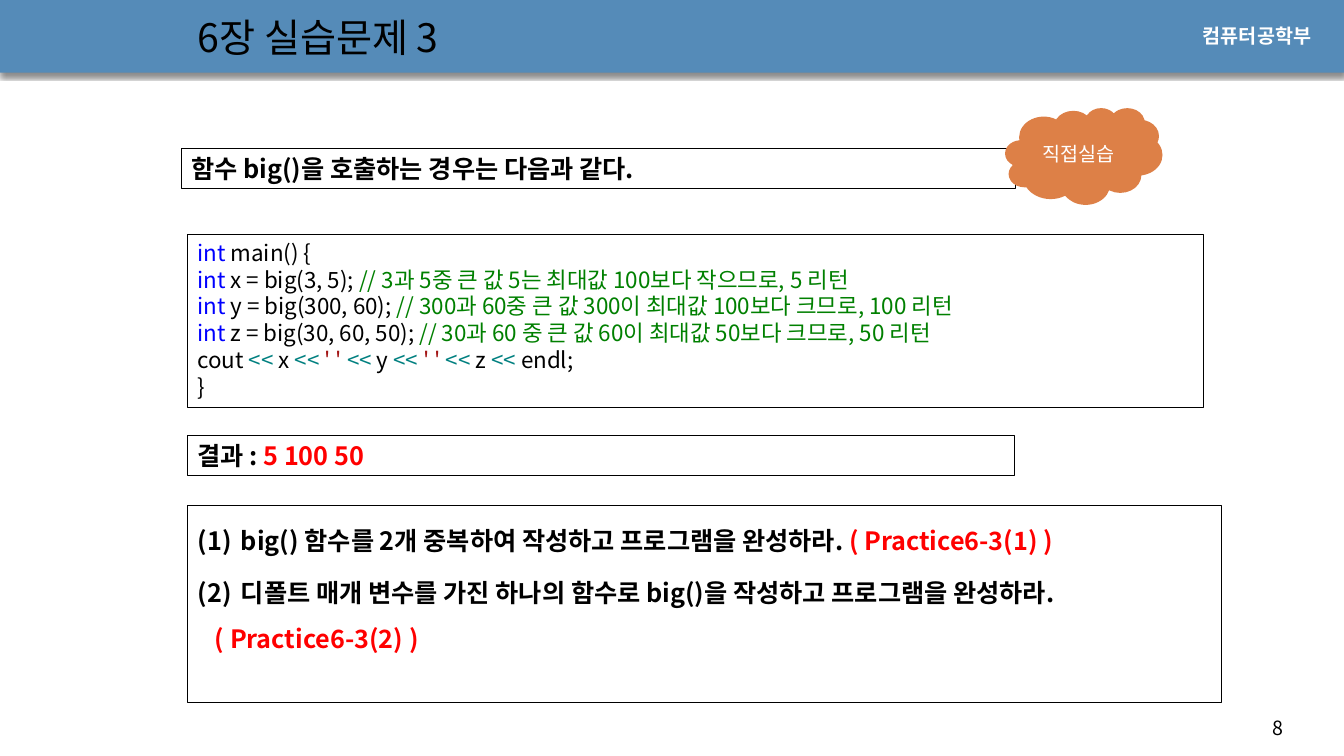
from pptx import Presentation
from pptx.dml.color import RGBColor
from pptx.enum.shapes import MSO_SHAPE as Shape
from pptx.enum.text import MSO_ANCHOR as Anchor, PP_ALIGN as Align
from pptx.oxml import parse_xml
from pptx.oxml.ns import nsdecls
from pptx.util import Inches, Pt
from lxml.etree import SubElement
from pptx.oxml.ns import qn

BLACK = RGBColor(0x00, 0x00, 0x00)
WHITE = RGBColor(0xFF, 0xFF, 0xFF)
RED = RGBColor(0xFF, 0x00, 0x00)
BANNER_BLUE = RGBColor(0x55, 0x8B, 0xB8)
ORANGE = RGBColor(0xDD, 0x80, 0x47)
KEYWORD = RGBColor(0x00, 0x00, 0xFF)
COMMENT = RGBColor(0x00, 0x80, 0x00)
OPERATOR = RGBColor(0x00, 0x80, 0x80)
LITERAL = RGBColor(0xA3, 0x15, 0x15)
FONT = "Noto Sans CJK KR"


def write(box, lines, size, bold=False, font=FONT, anchor=Anchor.TOP, align=Align.LEFT):
    """Fill a box with lines, each a list of (text, colour) spans."""
    frame = box.text_frame
    frame.word_wrap = True
    frame.vertical_anchor = anchor
    for index, spans in enumerate(lines):
        para = frame.paragraphs[0] if index == 0 else frame.add_paragraph()
        para.alignment = align
        para.space_before = Pt(0)
        for text, colour in spans:
            span = para.add_run()
            span.text = text
            span.font.size = Pt(size)
            span.font.bold = bold
            span.font.name = font
            span.font.color.rgb = colour
            SubElement(span.font._element, qn("a:ea")).set("typeface", font)


def place(box, left, top, width, height, fill=None, outlined=False):
    """Set the position, fill and outline of a box."""
    box.left, box.top = Inches(left), Inches(top)
    box.width, box.height = Inches(width), Inches(height)
    if fill is not None:
        box.fill.solid()
        box.fill.fore_color.rgb = fill
    if outlined:
        box.line.color.rgb = BLACK
        box.line.width = Pt(0.5)
    else:
        box.line.fill.background()


deck = Presentation()
deck.slide_width, deck.slide_height = Inches(13.33), Inches(7.5)
page = deck.slides.add_slide(deck.slide_layouts[1])
shapes = page.shapes
title, questions = page.placeholders

# Banner with its soft lower shadow, behind the title
banner = shapes.add_shape(Shape.RECTANGLE, 0, 0, 0, 0)
place(banner, 0, -0.01, 13.33, 0.73, BANNER_BLUE)
banner._element.spPr.append(parse_xml(
    f'<a:effectLst {nsdecls("a")}><a:outerShdw blurRad="{Pt(3)}" dist="{Pt(2.4)}" '
    'dir="5400000" rotWithShape="0"><a:srgbClr val="000000"><a:alpha val="45000"/>'
    '</a:srgbClr></a:outerShdw></a:effectLst>'))
shapes._spTree.insert(2, banner._element)

place(title, 1.86, 0.05, 7.4, 0.63)
write(title, [[("6장 실습문제 3", BLACK)]], 28, anchor=Anchor.MIDDLE)

for text, colour, size, bold, font, left, top, width in [
    ("8", BLACK, 14, False, FONT, 12.52, 7.05, 0.71),
    ("컴퓨터공학부", WHITE, 14, True, "Arial", 11.83, 0.19, 1.37),
]:
    label = shapes.add_textbox(0, 0, 0, 0)
    place(label, left, top, width, 0.34)
    write(label, [[(text, colour)]], size, bold, font)

# Outlined boxes: code, introduction and result
code = [[("int", KEYWORD), (" main() {", BLACK)]]
for statement, remark in [
    ("x = big(3, 5); ", "// 3과 5중 큰 값 5는 최대값 100보다 작으므로, 5 리턴"),
    ("y = big(300, 60); ", "// 300과 60중 큰 값 300이 최대값 100보다 크므로, 100 리턴"),
    ("z = big(30, 60, 50); ", "// 30과 60 중 큰 값 60이 최대값 50보다 크므로, 50 리턴"),
]:
    code.append([("int ", KEYWORD), (statement, BLACK), (remark, COMMENT)])
output = [("cout ", BLACK)]
for variable in "xy":
    output += [("<<", OPERATOR), (f" {variable} ", BLACK), ("<< ", OPERATOR), ("' ' ", LITERAL)]
output += [("<<", OPERATOR), (" z ", BLACK), ("<< ", OPERATOR), ("endl;", BLACK)]
code += [output, [("}", BLACK)]]

for lines, size, bold, left, top, width, height in [
    (code, 16, False, 1.86, 2.32, 10.08, 1.72),
    ([[("함수 big()을 호출하는 경우는 다음과 같다.", BLACK)]], 18, True, 1.8, 1.47, 8.27, 0.4),
    ([[("결과 : ", BLACK), ("5 100 50", RED)]], 18, True, 1.86, 4.32, 8.2, 0.4),
]:
    box = shapes.add_shape(Shape.RECTANGLE, 0, 0, 0, 0)
    box.shadow.inherit = False
    place(box, left, top, width, height, WHITE, outlined=True)
    write(box, lines, size, bold)

# Numbered questions
place(questions, 1.86, 5.01, 10.25, 1.96, WHITE, outlined=True)
write(questions, [
    [("big() 함수를 2개 중복하여 작성하고 프로그램을 완성하라. ", BLACK), ("( Practice6-3(1) )", RED)],
    [("디폴트 매개 변수를 가진 하나의 함수로 big()을 작성하고 프로그램을 완성하라.", BLACK)],
    [("( Practice6-3(2) )", RED)],
], 18, bold=True)
first, second, answer = questions.text_frame.paragraphs
first.line_spacing = answer.line_spacing = 1.5
second.space_before = Pt(16)
for para in (first, second):
    properties = para._p.get_or_add_pPr()
    properties.set("marL", str(Inches(0.43)))
    properties.set("indent", str(Inches(-0.43)))
    SubElement(properties, qn("a:buFont")).set("typeface", "+mj-lt")
    SubElement(properties, qn("a:buAutoNum")).set("type", "arabicParenBoth")
properties = answer._p.get_or_add_pPr()
properties.set("marL", str(Inches(0.17)))
properties.set("indent", "0")
SubElement(properties, qn("a:buNone"))

cloud = shapes.add_shape(Shape.CLOUD, 0, 0, 0, 0)
cloud.shadow.inherit = False
place(cloud, 9.97, 1.07, 1.56, 0.96, ORANGE)
write(cloud, [[("직접실습", WHITE)]], 14, anchor=Anchor.MIDDLE, align=Align.CENTER)

deck.save("out.pptx")
